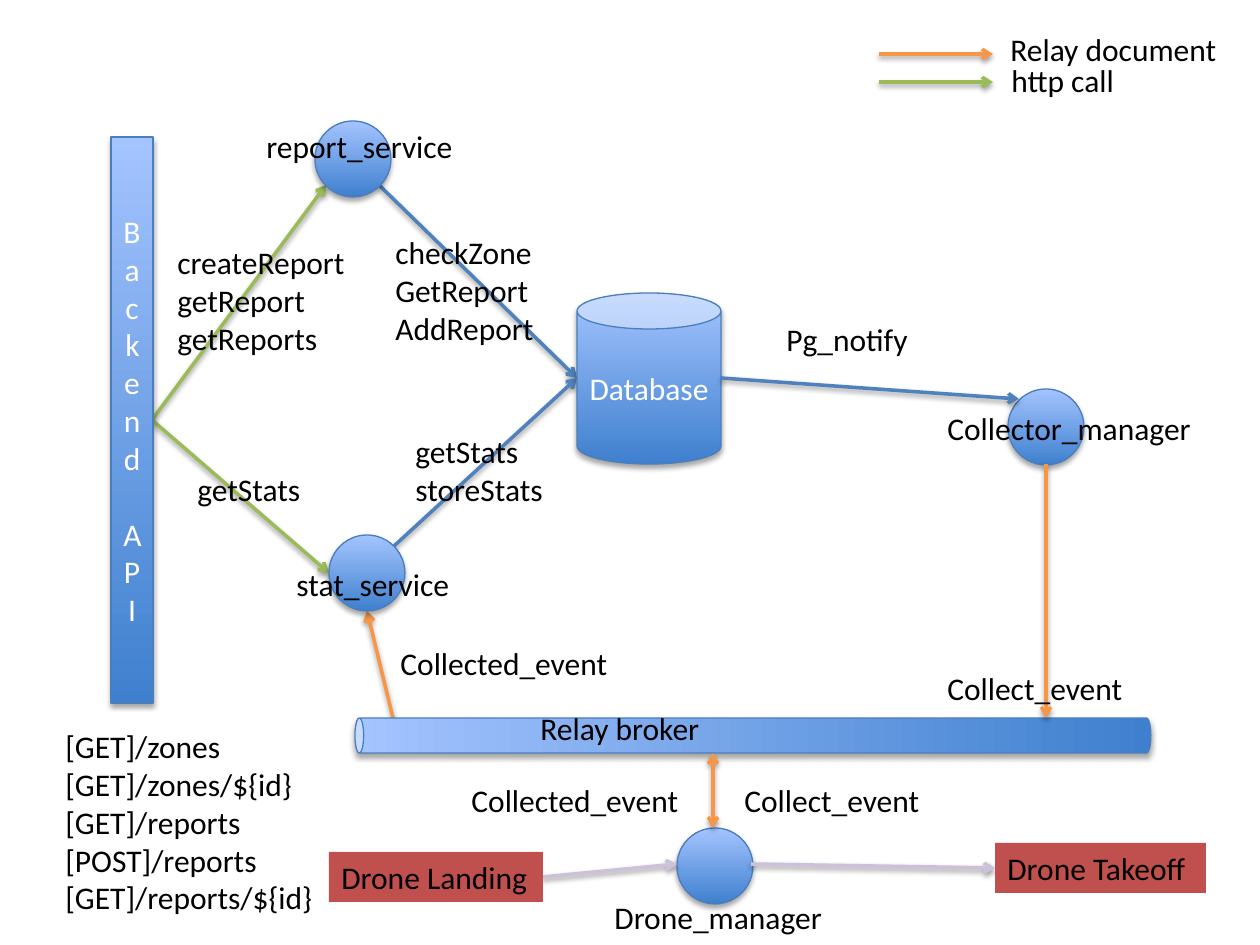
from dataclasses import dataclass

from lxml import etree
from pptx import Presentation
from pptx.dml.color import RGBColor
from pptx.enum.shapes import MSO_CONNECTOR, MSO_SHAPE
from pptx.enum.text import MSO_ANCHOR, MSO_AUTO_SIZE, PP_ALIGN
from pptx.oxml.ns import qn
from pptx.util import Emu, Pt

SCALE = 914400 / 126
RECT, CAN, OVAL = MSO_SHAPE.RECTANGLE, MSO_SHAPE.CAN, MSO_SHAPE.OVAL
STRAIGHT = MSO_CONNECTOR.STRAIGHT
MIDDLE, CENTER, LEFT = MSO_ANCHOR.MIDDLE, PP_ALIGN.CENTER, PP_ALIGN.LEFT
GROW = MSO_AUTO_SIZE.SHAPE_TO_FIT_TEXT


@dataclass(frozen=True)
class Theme:
    font: str = "Calibri"
    size: float = 18
    paragraph_gap: float = 21.7
    outline: float = 0.75
    arrow: float = 2
    black: str = "000000"
    white: str = "FFFFFF"
    dark: str = "3F80CE"
    light: str = "A4C4FF"
    edge: str = "4B7EBC"
    http: str = "9BBB59"
    event: str = "F79646"
    query: str = "4F81BD"
    signal: str = "CCC1DA"
    action: str = "C0504D"


THEME = Theme()


def px(value):
    return Emu(round(value * SCALE))


def rgb(value):
    return RGBColor.from_string(value)


def place(box, left, top, width, height):
    return [px(v) for v in (box[0] + left, box[1] + top, width, height)]


def set_values(target, values):
    for name, value in values.items():
        setattr(target, name, value)


def add_shadow(effects, opacity, distance):
    shadow = etree.SubElement(effects, qn("a:outerShdw"), blurRad=str(Pt(3.1)),
                              dist=str(Pt(distance)), dir="5400000", rotWithShape="0")
    color = etree.SubElement(shadow, qn("a:srgbClr"), val=THEME.black)
    etree.SubElement(color, qn("a:alpha"), val=str(opacity * 1000))


def write(frame, lines, color, align=LEFT, gap=0):
    for index, line in enumerate(lines):
        para = frame.paragraphs[0] if index == 0 else frame.add_paragraph()
        set_values(para, {"alignment": align, "space_before": Pt(gap if index else 0)})
        span = para.add_run()
        span.text = line
        set_values(span.font, {"name": THEME.font, "size": Pt(THEME.size)})
        span.font.color.rgb = rgb(color)


def add_label(page, box, area, *lines, wrap=False, fill=None):
    label = page.shapes.add_textbox(*place(box, *area))
    set_values(label.text_frame, {"word_wrap": wrap, "auto_size": GROW})
    if fill:
        label.fill.solid()
        label.fill.fore_color.rgb = rgb(fill)
    write(label.text_frame, lines, THEME.black)


def add_node(page, box, kind, area, *lines, rotation=0):
    node = page.shapes.add_shape(kind, *place(box, *area))
    node.rotation = rotation
    node.fill.gradient()
    node.fill.gradient_angle = 90
    for stop, color in zip(node.fill.gradient_stops, (THEME.dark, THEME.light)):
        stop.color.rgb = rgb(color)
    node.line.color.rgb = rgb(THEME.edge)
    node.line.width = Pt(THEME.outline)
    node.shadow.inherit = False
    add_shadow(node._element.spPr.find(qn("a:effectLst")), 35, 1.8)
    if lines:
        set_values(node.text_frame, {"word_wrap": True, "vertical_anchor": MIDDLE})
        write(node.text_frame, lines, THEME.white, CENTER, THEME.paragraph_gap)


def add_arrow(page, box, start, end, color, ends=("tailEnd",)):
    points = [px(box[i] + point[i]) for point in (start, end) for i in (0, 1)]
    arrow = page.shapes.add_connector(STRAIGHT, *points)
    arrow.line.color.rgb = rgb(color)
    arrow.line.width = Pt(THEME.arrow)
    properties = arrow._element.spPr
    for name in ends:
        etree.SubElement(properties.find(qn("a:ln")), qn(f"a:{name}"), type="arrow")
    add_shadow(etree.SubElement(properties, qn("a:effectLst")), 38, 1.6)


def draw_legend(page, box):
    entries = (("Relay document", THEME.event, 30, 0, 119, 236),
               ("http call", THEME.http, 58, 31, 120, 131))
    for text, color, line_top, text_top, left, width in entries:
        add_arrow(page, box, (0, line_top), (114, line_top), color)
        add_label(page, box, (left, text_top, width, 50), text)


def draw_backend(page, box):
    add_node(page, box, RECT, (58, 0, 42, 566), "Backend", "API")
    add_label(page, box, (0, 584, 276, 204), "[GET]/zones", "[GET]/zones/${id}",
              "[GET]/reports", "[POST]/reports", "[GET]/reports/${id}")


def draw_services(page, box):
    arrows = (((0, 299), (174, 64), THEME.http), ((0, 299), (177, 452), THEME.http),
              ((227, 64), (425, 257), THEME.query), ((241, 426), (425, 257), THEME.query),
              ((241, 597), (215, 490), THEME.event))
    for start, end, color in arrows:
        add_arrow(page, box, start, end, color)
    for left, top in ((163, 0), (177, 414)):
        add_node(page, box, OVAL, (left, top, 76, 76))
    labels = (((102, 0, 214, 50), "report_service"),
              ((132, 438, 180, 50), "stat_service"),
              ((13, 116, 195, 127), "createReport", "getReport", "getReports"),
              ((231, 106, 165, 127), "checkZone", "GetReport", "AddReport"),
              ((33, 343, 131, 50), "getStats"),
              ((251, 305, 156, 89), "getStats", "storeStats"),
              ((236, 517, 236, 50), "Collected_event"))
    for area, *lines in labels:
        add_label(page, box, area, *lines)


def draw_storage(page, box):
    add_node(page, box, CAN, (0, 0, 144, 171), "Database")
    add_node(page, box, OVAL, (431, 96, 76, 76))
    add_arrow(page, box, (144, 85), (442, 106), THEME.query)
    add_arrow(page, box, (469, 171), (469, 425), THEME.event)
    add_label(page, box, (197, 21, 149, 50), "Pg_notify")
    add_label(page, box, (358, 110, 272, 50), "Collector_manager")
    add_label(page, box, (358, 370, 203, 50), "Collect_event")


def draw_broker(page, box):
    length, thickness = box[2:]
    area = ((length - thickness) / 2, (thickness - length) / 2, thickness, length)
    add_node(page, box, CAN, area, rotation=270)
    add_label(page, box, (173, -15, 470, 50), "Relay broker", wrap=True)


def draw_drones(page, box):
    add_node(page, box, OVAL, (348, 75, 76, 76))
    add_arrow(page, box, (384, 75), (384, 0), THEME.event, ("headEnd", "tailEnd"))
    add_arrow(page, box, (213, 124), (348, 111), THEME.signal)
    add_arrow(page, box, (422, 111), (666, 115), THEME.signal)
    add_label(page, box, (0, 99, 214, 50), "Drone Landing", fill=THEME.action)
    add_label(page, box, (666, 90, 211, 50), "Drone Takeoff", fill=THEME.action)
    add_label(page, box, (273, 139, 236, 50), "Drone_manager")
    add_label(page, box, (130, 22, 236, 50), "Collected_event")
    add_label(page, box, (403, 22, 203, 50), "Collect_event")


def main():
    deck = Presentation()
    set_values(deck, {"slide_width": px(1260), "slide_height": px(945)})
    page = deck.slides.add_slide(deck.slide_layouts[6])
    regions = ((draw_services, (152, 121, 472, 597)),
               (draw_backend, (53, 137, 276, 788)),
               (draw_broker, (355, 718, 796, 35)),
               (draw_storage, (577, 293, 630, 425)),
               (draw_drones, (329, 753, 877, 189)),
               (draw_legend, (879, 24, 355, 81)))
    for draw, box in regions:
        draw(page, box)
    deck.save("out.pptx")


main()
